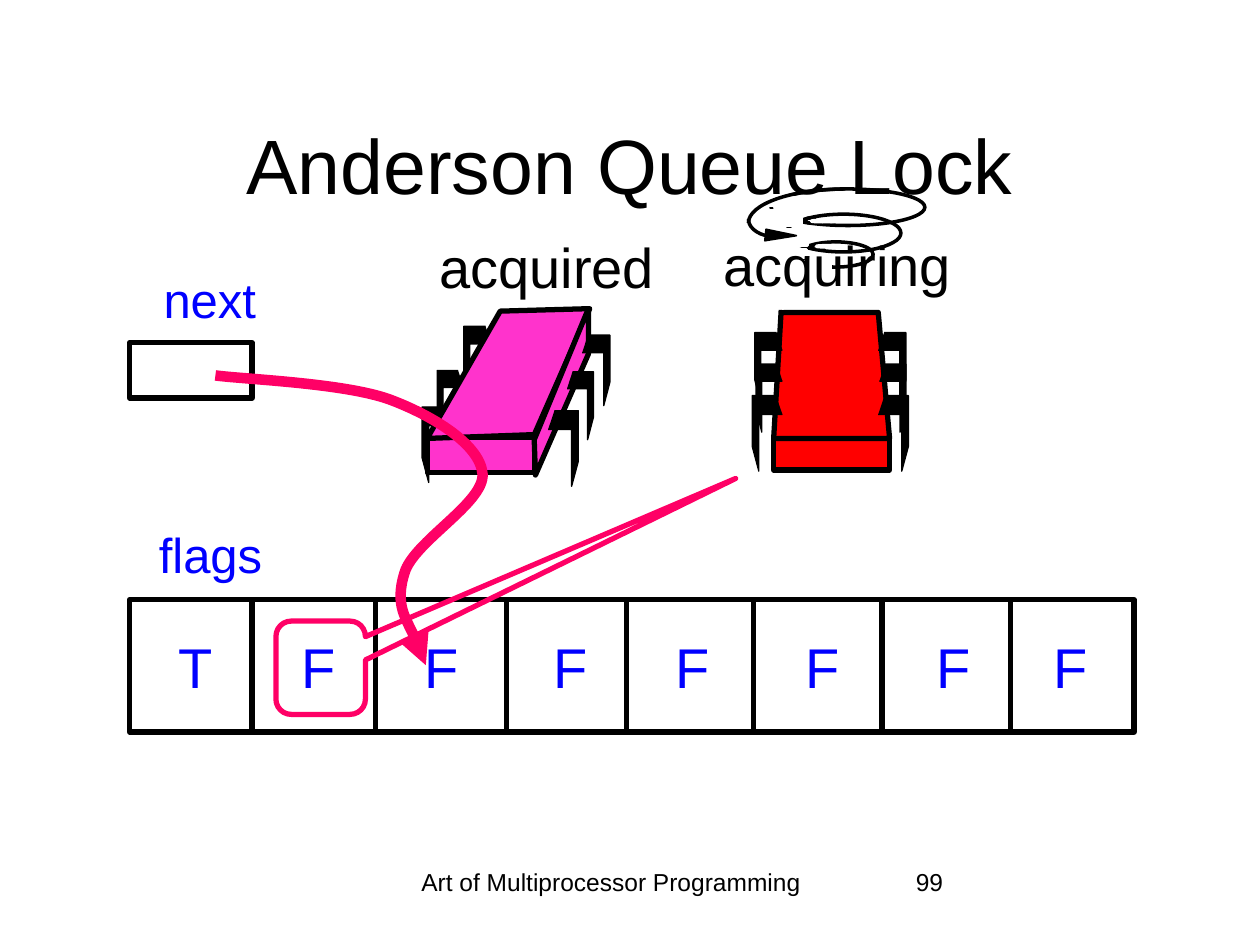
from dataclasses import dataclass

from lxml.etree import SubElement
from pptx import Presentation
from pptx.dml.color import RGBColor
from pptx.enum.shapes import MSO_CONNECTOR, MSO_SHAPE as Preset
from pptx.enum.text import MSO_ANCHOR as Anchor, PP_ALIGN as Align
from pptx.oxml.ns import qn
from pptx.util import Inches, Pt


@dataclass(frozen=True)
class Theme:
    font: str = "Arial"
    black: str = "000000"
    white: str = "FFFFFF"
    blue: str = "0000FF"
    pink: str = "FF0066"
    magenta: str = "FF33CC"
    red: str = "FF0000"
    title: int = 44
    state: int = 32
    label: int = 28
    footer: int = 14


theme = Theme()


def paint(shape, fill=None, line=None, width=3):
    shape.shadow.inherit = False
    if fill:
        shape.fill.solid()
        shape.fill.fore_color.rgb = RGBColor.from_string(fill)
    else:
        shape.fill.background()
    if line:
        shape.line.color.rgb = RGBColor.from_string(line)
        shape.line.width = Pt(width)
    else:
        shape.line.fill.background()


def add_text(shapes, text, box, size, color=theme.black, align=Align.CENTER,
             wrap=False, anchor=Anchor.TOP):
    frame = shapes.add_textbox(*map(Inches, box)).text_frame
    frame.word_wrap = wrap
    frame.vertical_anchor = anchor
    paragraph = frame.paragraphs[0]
    paragraph.text = text
    paragraph.alignment = align
    paragraph.font.name = theme.font
    paragraph.font.size = Pt(size)
    paragraph.font.color.rgb = RGBColor.from_string(color)


presentation = Presentation()
presentation.slide_width, presentation.slide_height = Inches(10), Inches(7.5)
slide = presentation.slides.add_slide(presentation.slide_layouts[6])
shapes = slide.shapes

# Spinning swirl: translucent backdrop, rings, and white masks that break them
swirl = shapes.add_group_shape().shapes
backdrop = swirl.add_shape(Preset.RECTANGLE, *map(Inches, (5.89, 1.23, 1.6, 1.15)))
paint(backdrop, theme.white)
backdrop_color = backdrop._element.spPr.find(qn("a:solidFill"))[0]
SubElement(backdrop_color, qn("a:alpha"), val="66000")
for box in [(6.34, 1.92, 0.59, 0.2), (6.24, 1.7, 0.91, 0.3), (6.12, 1.5, 1.22, 0.29)]:
    paint(swirl.add_shape(Preset.OVAL, *map(Inches, box)), None, theme.black, 2)
for left, top in [(5.93, 1.8), (6.14, 1.89), (6.13, 1.98), (6.32, 2.08),
                  (6.12, 1.82), (6.09, 1.73)]:
    mask = swirl.add_shape(Preset.RECTANGLE, *map(Inches, (left, top, 0.27, 0.06)))
    paint(mask, theme.white, theme.white, 2)
for kind, box, line in [
    (Preset.OVAL, (6.44, 1.94, 0.1, 0.04), theme.black),
    (Preset.OVAL, (6.48, 1.95, 0.19, 0.01), theme.white),
    (Preset.RECTANGLE, (6.06, 1.67, 0.26, 0.06), theme.white),
    (Preset.RECTANGLE, (6.05, 1.57, 0.27, 0.06), theme.white),
    (Preset.OVAL, (6.39, 1.73, 0.08, 0.04), theme.black),
    (Preset.OVAL, (6.44, 1.75, 0.18, 0.01), theme.white),
]:
    paint(swirl.add_shape(kind, *map(Inches, box)), theme.white, line, 2)

# Footer
add_text(shapes, "Art of Multiprocessor Programming", (2.89, 6.83, 3.92, 0.5),
         theme.footer, wrap=True)
add_text(shapes, "99", (7.17, 6.83, 2.08, 0.5), theme.footer, align=Align.LEFT, wrap=True)

# Threads: a front face, then legs and body faces from back to front
holder = shapes.add_group_shape().shapes
waiter = shapes.add_group_shape().shapes
for thread, box, color in [(holder, (3.39, 3.47, 0.85, 0.28), theme.magenta),
                           (waiter, (6.14, 3.48, 0.92, 0.25), theme.red)]:
    paint(thread.add_shape(Preset.RECTANGLE, *map(Inches, box)), color, theme.black)

holder_top = [(3.39, 3.48), (4.24, 3.45), (4.68, 2.45), (3.97, 2.47)]
holder_side = [(4.67, 2.45), (4.67, 2.81), (4.25, 3.77), (4.24, 3.49)]
waiter_top = [(6.22, 2.48), (6.97, 2.48), (7.06, 3.48), (6.14, 3.48), (6.2, 2.46)]
arrow_tip = [(6.08, 1.82), (6.32, 1.87), (6.07, 1.91)]

# Each leg row: outer edge and top of the three legs; inward is +1 on the left side
leg_sizes = [(0.24, 0.6), (0.21, 0.54), (0.22, 0.56)]
leg_profile = [(0.79, 0), (0, 0), (0, 0.67), (0.22, 1), (0.22, 0.25), (1, 0.25)]
leg_rows = [
    [(3.35, 3.23), (3.47, 2.94), (3.68, 2.59)],
    [(4.59, 3.26), (4.71, 2.95), (4.84, 2.66)],
    [(7.21, 3.14), (7.19, 2.89), (7.19, 2.64)],
    [(5.97, 3.14), (6, 2.89), (5.99, 2.64)],
]
legs = [
    [[(x + inward * u * width, y + v * height) for u, v in leg_profile]
     for (x, y), (width, height) in zip(row, leg_sizes)]
    for row, inward in zip(leg_rows, (1, -1, -1, 1))
]
for group, outlines, closed, fill, width in [
    (swirl, [arrow_tip], True, theme.black, 1),
    (holder, legs[0], False, theme.black, 0.75),
    (holder, [holder_top, holder_side], True, theme.magenta, 3),
    (holder, legs[1], False, theme.black, 0.75),
    (waiter, [waiter_top], False, theme.red, 3),
    (waiter, legs[2] + legs[3], False, theme.black, 0.75),
]:
    for outline in outlines:
        points = [(Inches(x), Inches(y)) for x, y in outline]
        builder = group.build_freeform(*points[0])
        builder.add_line_segments(points[1:], close=closed)
        paint(builder.convert_to_shape(), fill, theme.black, width)

add_text(holder, "acquired", (3.36, 1.8, 1.96, 0.63), theme.state)
add_text(waiter, "acquiring", (5.62, 1.78, 2.05, 0.63), theme.state)

# Title
add_text(shapes, "Anderson Queue Lock", (0.75, 0.67, 8.5, 1.25), theme.title,
         wrap=True, anchor=Anchor.MIDDLE)

# Flag array and next counter
for box in [(1.03, 4.76, 7.97, 1.05), (1.03, 2.72, 0.97, 0.44)]:
    paint(shapes.add_shape(Preset.RECTANGLE, *map(Inches, box)), None, theme.black)
for x in (2, 2.98, 4.02, 4.97, 5.98, 7, 8.02):
    divider = shapes.add_connector(MSO_CONNECTOR.STRAIGHT, Inches(x), Inches(4.75),
                                   Inches(x), Inches(5.82))
    divider.line.color.rgb = RGBColor.from_string(theme.black)
    divider.line.width = Pt(3)
    SubElement(divider._element.spPr, qn("a:effectLst"))
for text, box in [("flags", (1.15, 4.11, 1.03, 0.57)), ("next", (1.18, 2.09, 0.95, 0.57))]:
    add_text(shapes, text, box, theme.label, theme.blue, Align.RIGHT)
for flag, left in zip("TFFFFFFF", (1.31, 2.28, 3.26, 4.28, 5.25, 6.28, 7.32, 8.25)):
    add_text(shapes, flag, (left, 4.97, 0.48, 0.64), theme.state, theme.blue, Align.RIGHT)

# Callout from the waiting thread to its flag
callout = shapes.add_shape(Preset.ROUNDED_RECTANGULAR_CALLOUT,
                           *map(Inches, (2.19, 4.93, 0.71, 0.74)))
for index, value in enumerate((4.64, -2.03, 0.17)):
    callout.adjustments[index] = value
paint(callout, None, theme.pink)

# Curves: a start point, then three points for each Bézier segment
next_pointer = [(1.71, 2.98), (1.93, 3.01), (2.73, 3.04), (3.09, 3.17),
                (3.44, 3.3), (3.81, 3.53), (3.83, 3.76),
                (3.85, 3.99), (3.28, 4.3), (3.21, 4.55),
                (3.13, 4.81), (3.34, 5.13), (3.38, 5.28)]
for group, curve, color, width in [
    (swirl, [(6.16, 1.88), (6.04, 1.88), (5.94, 1.82), (5.94, 1.74)], theme.black, 2),
    (swirl, [(5.94, 1.77), (5.94, 1.62), (6.28, 1.5), (6.71, 1.5)], theme.black, 2),
    (shapes, next_pointer, theme.pink, 6),
]:
    points = [(Inches(x), Inches(y)) for x, y in curve]
    builder = group.build_freeform(*points[0])
    builder.add_line_segments(points[1:], close=False)
    shape = builder.convert_to_shape()
    paint(shape, None, color, width)
    segments = list(shape._element.iter(qn("a:lnTo")))
    outline = segments[0].getparent()
    for start in range(0, len(segments), 3):
        bezier = SubElement(outline, qn("a:cubicBezTo"))
        for segment in segments[start:start + 3]:
            bezier.append(segment[0])
            outline.remove(segment)
SubElement(shape._element.spPr.find(qn("a:ln")), qn("a:tailEnd"), type="triangle")

presentation.save("out.pptx")
